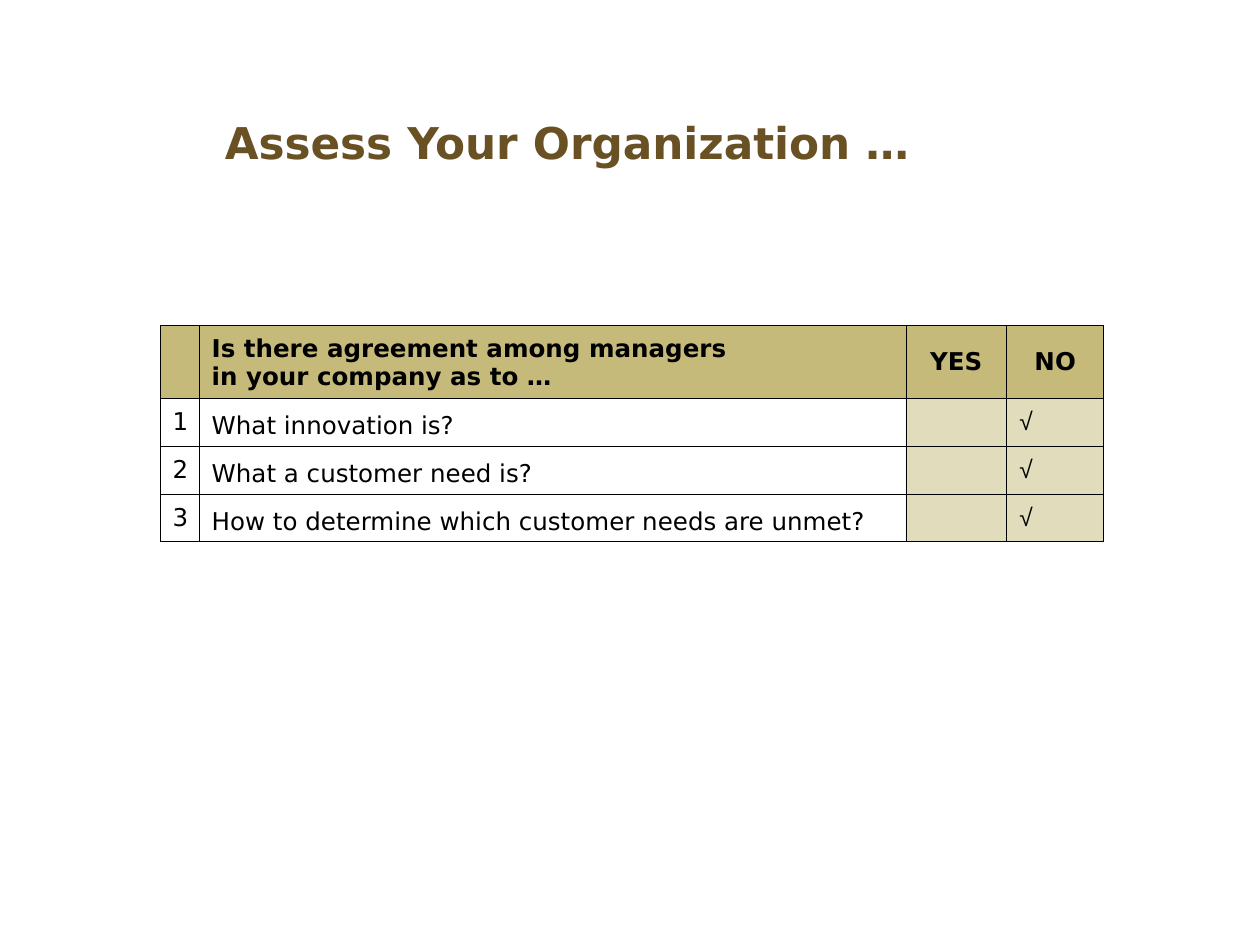
from pptx import Presentation
from pptx.dml.color import RGBColor
from pptx.enum.text import MSO_ANCHOR, PP_ALIGN
from pptx.oxml.xmlchemy import OxmlElement
from pptx.util import Inches, Pt

LEFT, CENTER = PP_ALIGN.LEFT, PP_ALIGN.CENTER
MIDDLE, BOTTOM = MSO_ANCHOR.MIDDLE, MSO_ANCHOR.BOTTOM
BROWN = RGBColor(0x6A, 0x51, 0x24)
KHAKI = RGBColor(0xC5, 0xBA, 0x79)
BLACK = RGBColor(0, 0, 0)
WHITE = RGBColor(0xFF, 0xFF, 0xFF)
FONT = "DejaVu Sans"

# Table grid, in inches
COLUMNS = [0.31, 5.61, 0.8, 0.77]
ROWS = [0.58, 0.38, 0.38, 0.38]
HEADERS = ["", "Is there agreement among managers\nin your company as to …", "YES", "NO"]
QUESTIONS = [
    "What innovation is?",
    "What a customer need is?",
    "How to determine which customer needs are unmet?",
]


def write_text(frame, text, size=14, font=FONT, color=BLACK, bold=False,
               align=LEFT, spacing=1.0):
    for index, line in enumerate(text.split("\n")):
        paragraph = frame.add_paragraph() if index else frame.paragraphs[0]
        paragraph.alignment = align
        paragraph.line_spacing = spacing
        run = paragraph.add_run()
        run.text = line
        run.font.size = Pt(size)
        run.font.name = font
        run.font.bold = bold
        run.font.color.rgb = color


def add_borders(cell):
    properties = cell._tc.get_or_add_tcPr()
    for index, side in enumerate(("a:lnL", "a:lnR", "a:lnT", "a:lnB")):
        line = OxmlElement(side)
        line.set("w", str(Pt(0.45)))
        fill = OxmlElement("a:solidFill")
        color = OxmlElement("a:srgbClr")
        color.set("val", str(BLACK))
        fill.append(color)
        line.append(fill)
        properties.insert(index, line)


presentation = Presentation()
presentation.slide_width = Inches(10)
presentation.slide_height = Inches(7.5)
slide = presentation.slides.add_slide(presentation.slide_layouts[6])

# Title
title = slide.shapes.add_textbox(0, Inches(0.78), Inches(9), Inches(0.69))
title.fill.solid()
title.fill.fore_color.rgb = WHITE
title.text_frame.word_wrap = True
title.text_frame.vertical_anchor = MIDDLE
write_text(title.text_frame, "Assess Your Organization …", size=25,
           color=BROWN, bold=True, align=CENTER)

# Table grid
table = slide.shapes.add_table(
    len(ROWS), len(COLUMNS), Inches(1.27), Inches(2.58),
    Inches(sum(COLUMNS)), Inches(sum(ROWS))).table
for column, width in zip(table.columns, COLUMNS):
    column.width = Inches(width)
for row, height in zip(table.rows, ROWS):
    row.height = Inches(height)

# Table cells: header row, then number, question, yes and no
contents = [HEADERS] + [[str(number), question, "", "√"]
                        for number, question in enumerate(QUESTIONS, 1)]
for row, texts in enumerate(contents):
    for column, text in enumerate(texts):
        cell = table.cell(row, column)
        header, answer, question = row == 0, column >= 2, column == 1
        cell.fill.solid()
        cell.fill.fore_color.rgb = KHAKI if header or answer else WHITE
        if answer and not header:
            alpha = OxmlElement("a:alpha")
            alpha.set("val", "50000")
            cell._tc.tcPr.find(".//{*}srgbClr").append(alpha)
        add_borders(cell)
        cell.vertical_anchor = BOTTOM if question else MIDDLE
        cell.margin_left = cell.margin_right = Inches(0.1)
        cell.margin_top = cell.margin_bottom = Inches(0.05 if text else 0)
        if text:
            write_text(cell.text_frame, text, bold=header,
                       font="Arial" if text == "√" else FONT,
                       align=CENTER if header and answer else LEFT,
                       spacing=0.9 if question and not header else 1.0)

presentation.save("out.pptx")
